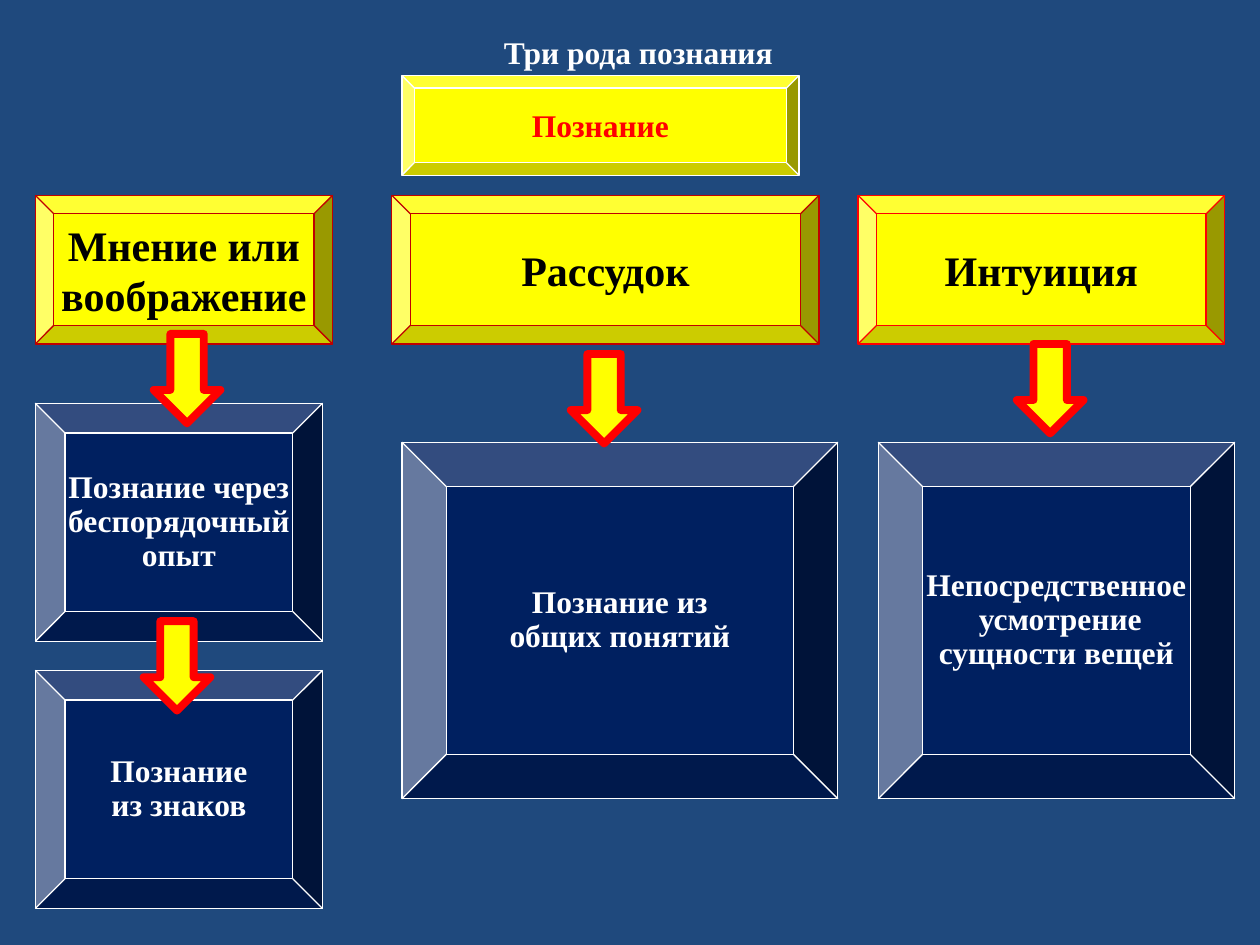
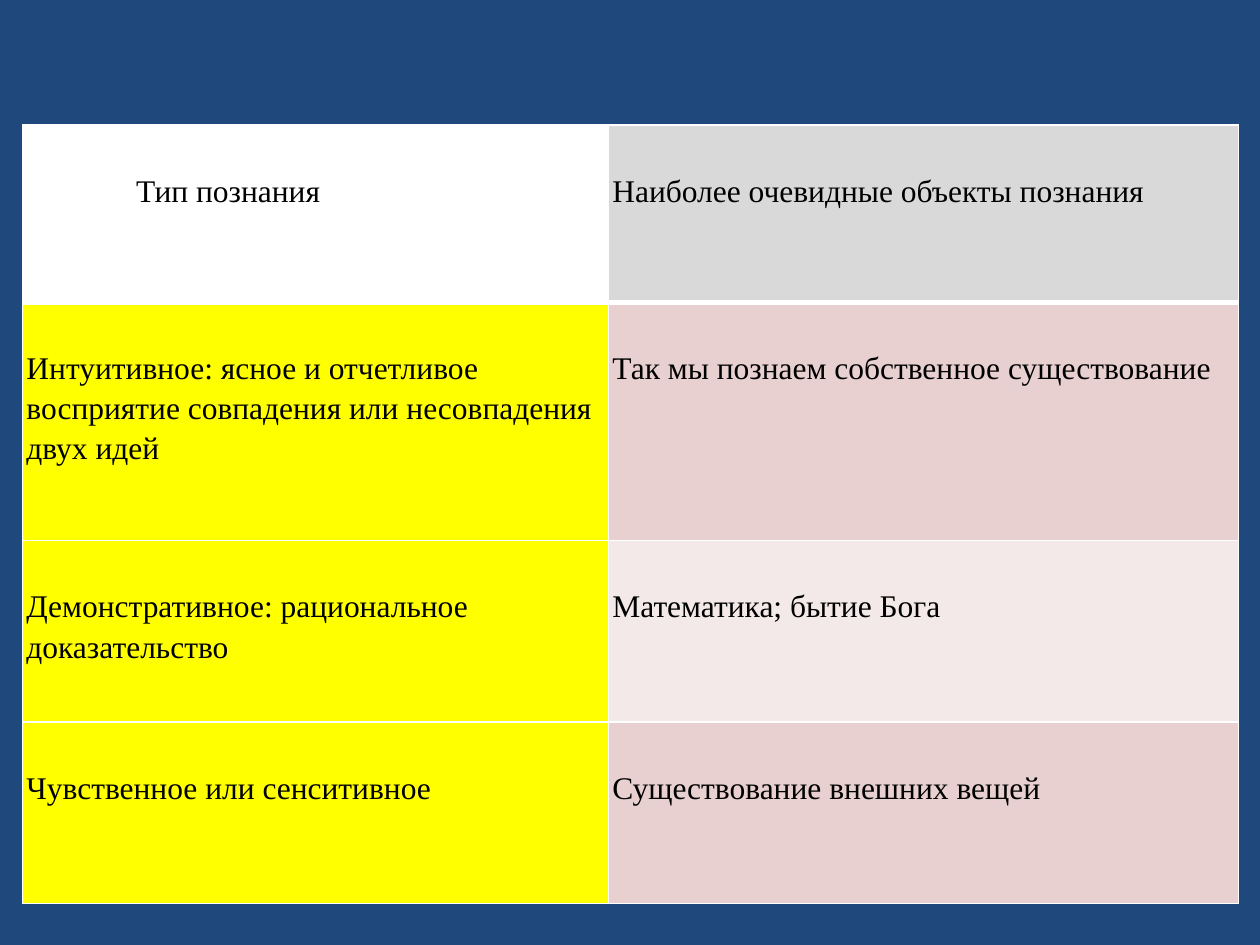
import dataclasses
import itertools
import typing

import lxml.etree
import pptx
import pptx.dml.color
import pptx.enum.shapes
import pptx.enum.text
import pptx.oxml.ns
import pptx.util

Kind = pptx.enum.shapes.MSO_SHAPE
Align = pptx.enum.text.PP_ALIGN
Anchor = pptx.enum.text.MSO_ANCHOR
qn = pptx.oxml.ns.qn

COLS, ROWS = 100, 75
WIDE, HIGH = pptx.util.Inches(10), pptx.util.Inches(7.5)


@dataclasses.dataclass(frozen=True)
class Theme:
    font: str = "Times New Roman"
    back: str = "1F497D"
    navy: str = "002060"
    gold: str = "FFFF00"
    red: str = "FF0000"
    wine: str = "C00000"
    white: str = "FFFFFF"
    black: str = "000000"
    gray: str = "D9D9D9"
    rose: str = "E8D0D0"
    pale: str = "F4E9E9"
    body: float = 18
    head: float = 24
    thin: float = 0.75
    bold: float = 4.5
    rule: float = 1
    thick: float = 3


THEME = Theme()


@dataclasses.dataclass(frozen=True)
class Look:
    fill: str
    line: str
    ink: str
    size: float = THEME.body
    lead: float = 1.0


TOP = Look(THEME.gold, THEME.white, THEME.red)
HEAD = Look(THEME.gold, THEME.wine, THEME.black, THEME.head)
LAST = dataclasses.replace(HEAD, line=THEME.red)
NOTE = Look(THEME.navy, THEME.white, THEME.white, lead=0.9)


class Box(typing.NamedTuple):
    left: float
    top: float
    wide: float
    high: float


class Panel(typing.NamedTuple):
    box: Box
    text: str
    look: Look


HEAD_TOP, HEAD_HIGH = 15.5, 11.8
SIDE_WIDE, SIDE_HIGH = 22.8, 18.9
NOTE_TOP, NOTE_HIGH = 35.1, 28.3
ARROW_WIDE, ARROW_HIGH = 5.3, 7.1

PANELS = [
    Panel(Box(31.9, 6, 31.5, 7.9), "Познание", TOP),
    Panel(Box(2.8, HEAD_TOP, 23.6, HEAD_HIGH), "Мнение или\vвоображение", HEAD),
    Panel(Box(2.8, 32, SIDE_WIDE, SIDE_HIGH),
          "Познание через\vбеспорядочный\vопыт", NOTE),
    Panel(Box(2.8, 53.2, SIDE_WIDE, SIDE_HIGH), "Познание\vиз знаков", NOTE),
    Panel(Box(31.1, HEAD_TOP, 33.9, HEAD_HIGH), "Рассудок", HEAD),
    Panel(Box(31.9, NOTE_TOP, 34.6, NOTE_HIGH), "Познание из\vобщих понятий", NOTE),
    Panel(Box(68.1, HEAD_TOP, 29.1, HEAD_HIGH), "Интуиция", LAST),
    Panel(Box(69.7, NOTE_TOP, NOTE_HIGH, NOTE_HIGH),
          "Непосредственное\n усмотрение\vсущности вещей", NOTE),
]
ARROWS = [(12.2, 26.5), (11.4, 49.3), (45.3, 28.1), (80.7, 27.3)]

GRID = Box(1.8, 9.9, 96.5, 61.8)
GRID_COLS = [46.5, 50]
GRID_ROWS = [14.1, 18.9, 14.4, 14.4]
CELLS = [
    ("Тип познания", "Наиболее очевидные объекты познания"),
    ("Интуитивное: ясное и отчетливое восприятие совпадения "
     "или несовпадения двух идей", "Так мы познаем собственное существование"),
    ("Демонстративное: рациональное доказательство", "Математика; бытие Бога"),
    ("Чувственное или сенситивное", "Существование внешних вещей"),
]
FILLS = [(THEME.white, THEME.gray), (THEME.gold, THEME.rose),
         (THEME.gold, THEME.pale), (THEME.gold, THEME.rose)]
PAD, DROP, INDENT = 0.3, 3.5, 9


def across(cols: float) -> int:
    return round(WIDE * cols / COLS)


def down(rows: float) -> int:
    return round(HIGH * rows / ROWS)


def place(box: Box) -> tuple[int, int, int, int]:
    return across(box.left), down(box.top), across(box.wide), down(box.high)


def shade(code: str) -> pptx.dml.color.RGBColor:
    return pptx.dml.color.RGBColor.from_string(code)


def paint(fill, code: str) -> None:
    fill.solid()
    fill.fore_color.rgb = shade(code)


def style(frame, ink: str, size: float, bold: bool) -> None:
    for para in frame.paragraphs:
        for run in para.runs:
            run.font.name = THEME.font
            run.font.size = pptx.util.Pt(size)
            run.font.bold = bold
            run.font.color.rgb = shade(ink)


def add_page(deck):
    page = deck.slides.add_slide(deck.slide_layouts[6])
    paint(page.background.fill, THEME.back)
    return page


def add_form(page, kind: Kind, box: Box, fill: str, line: str, width: float):
    form = page.shapes.add_shape(kind, *place(box))
    form.shadow.inherit = False
    paint(form.fill, fill)
    form.line.color.rgb = shade(line)
    form.line.width = pptx.util.Pt(width)
    return form


def add_panel(page, panel: Panel) -> None:
    look = panel.look
    form = add_form(page, Kind.BEVEL, panel.box, look.fill, look.line, THEME.thin)
    frame = form.text_frame
    frame.word_wrap = False
    frame.vertical_anchor = Anchor.MIDDLE
    frame.text = panel.text
    for para in frame.paragraphs:
        para.alignment = Align.CENTER
        para.line_spacing = look.lead
    style(frame, look.ink, look.size, True)


def add_title(page, text: str, box: Box) -> None:
    frame = page.shapes.add_textbox(*place(box)).text_frame
    frame.word_wrap = False
    frame.auto_size = pptx.enum.text.MSO_AUTO_SIZE.SHAPE_TO_FIT_TEXT
    frame.text = text
    style(frame, THEME.white, THEME.body, True)


def edge(cell, side: str, width: float) -> None:
    props = cell._tc.get_or_add_tcPr()
    line = lxml.etree.SubElement(props, qn(f"a:ln{side}"), w=str(pptx.util.Pt(width)))
    fill = lxml.etree.SubElement(line, qn("a:solidFill"))
    lxml.etree.SubElement(fill, qn("a:srgbClr"), val=THEME.white)


def fill_cell(cell, text: str, fill: str, first: bool, inset: float) -> None:
    for side in "LRTB":
        edge(cell, side, THEME.thick if first and side == "B" else THEME.rule)
    paint(cell.fill, fill)
    cell.margin_left = across(inset)
    cell.margin_right = across(PAD)
    cell.margin_top = down(DROP)
    cell.margin_bottom = down(PAD)
    cell.text_frame.text = text
    para = cell.text_frame.paragraphs[0]
    para.line_spacing = 1.15
    para.space_after = pptx.util.Pt(10)
    style(cell.text_frame, THEME.black, THEME.body, False)


def add_grid(page) -> None:
    table = page.shapes.add_table(len(GRID_ROWS), len(GRID_COLS), *place(GRID)).table
    table.first_row = False
    table.horz_banding = False
    for col, wide in zip(table.columns, GRID_COLS):
        col.width = across(wide)
    for row, high in zip(table.rows, GRID_ROWS):
        row.height = down(high)
    for r, c in itertools.product(range(len(GRID_ROWS)), range(len(GRID_COLS))):
        inset = INDENT if r == c == 0 else PAD
        fill_cell(table.cell(r, c), CELLS[r][c], FILLS[r][c], r == 0, inset)


def main() -> None:
    deck = pptx.Presentation()
    deck.slide_width, deck.slide_height = WIDE, HIGH

    page = add_page(deck)
    add_title(page, "Три рода познания", Box(39, 2.1, 23.6, 4))
    for panel in PANELS:
        add_panel(page, panel)
    for left, top in ARROWS:
        add_form(page, Kind.DOWN_ARROW, Box(left, top, ARROW_WIDE, ARROW_HIGH),
                 THEME.gold, THEME.red, THEME.bold)

    add_grid(add_page(deck))
    deck.save("out.pptx")


if __name__ == "__main__":
    main()
